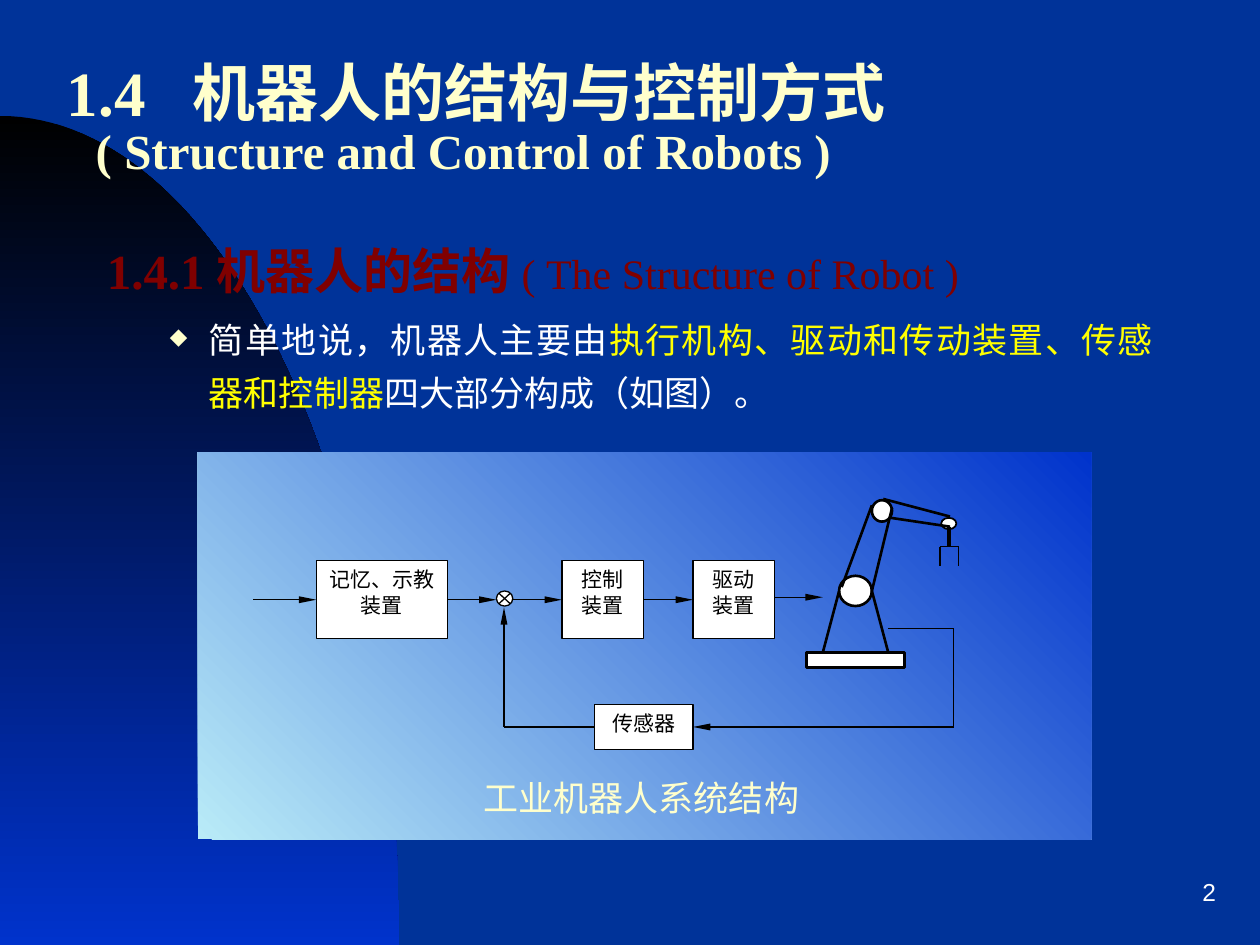
"""Build the slide on the structure and control of robots."""
import math

from lxml import etree
from pptx import Presentation, util as u
from pptx.dml.color import RGBColor
from pptx.enum import shapes, text
from pptx.oxml.ns import qn

NAVY = RGBColor(0x00, 0x33, 0x99)
BLUE = RGBColor(0x00, 0x33, 0xCC)
SKY = RGBColor(0xB9, 0xEB, 0xF7)
BLACK = RGBColor(0, 0, 0)
WHITE = RGBColor(0xFF, 0xFF, 0xFF)
CREAM = RGBColor(0xFF, 0xFF, 0xCC)
YELLOW = RGBColor(0xFF, 0xFF, 0x00)
MAROON = RGBColor(0x80, 0x00, 0x00)

LEFT, CENTER, RIGHT, JUSTIFY = (text.PP_ALIGN.LEFT, text.PP_ALIGN.CENTER,
                                text.PP_ALIGN.RIGHT, text.PP_ALIGN.JUSTIFY)
RECT, OVAL = shapes.MSO_SHAPE.RECTANGLE, shapes.MSO_SHAPE.OVAL
JUNCTION = shapes.MSO_SHAPE.FLOWCHART_SUMMING_JUNCTION

TITLE = [("1.4\t机器人的结构与控制方式", 36, 0),
         ("( Structure and Control of Robots )", 28, 5)]
HEADING = ("1.4.1 机器人的结构 ", "( The Structure of Robot )")
BULLET = [("简单地说，机器人主要由", WHITE),
          ("执行机构、驱动和传动装置、传感器和控制器", YELLOW),
          ("四大部分构成（如图）。", WHITE)]
CAPTION = "工业机器人系统结构"
FLOW_Y, RETURN_Y = 4.76, 5.77

BOXES = {
    "memory": (["记忆、示教", "装置"], 2.51, 4.45, 1.04, 0.62),
    "control": (["控制", "装置"], 4.46, 4.45, 0.65, 0.62),
    "drive": (["驱动", "装置"], 5.5, 4.45, 0.65, 0.62),
    "sensor": (["传感器"], 4.72, 5.59, 0.78, 0.36),
}
ROBOT_PARTS = [
    (RECT, 6.4, 5.18, 0.78, 0.12, 1.5),
    (OVAL, 6.66, 4.57, 0.26, 0.24, 1.5),
    (OVAL, 6.92, 3.97, 0.16, 0.17, 1.5),
    (OVAL, 7.47, 4.11, 0.12, 0.09, 1),
    (JUNCTION, 3.94, 4.69, 0.13, 0.12, 0.75),
]
ROBOT_LINES = [
    (6.66, 4.69, 6.53, 5.18, 1.5), (6.92, 4.69, 7.05, 5.18, 1.5),
    (6.68, 4.66, 6.92, 4.01, 1.5), (6.92, 4.69, 7.08, 4.03, 1.5),
    (7.01, 3.96, 7.54, 4.1, 1.5), (7.07, 4.11, 7.54, 4.18, 1.5),
    (7.53, 4.18, 7.53, 4.34, 2.25), (7.46, 4.34, 7.61, 4.34, 0.75),
    (7.46, 4.34, 7.46, 4.49, 0.75), (7.61, 4.34, 7.61, 4.49, 0.75),
]
SIGNALS = [
    (2.01, FLOW_Y, 2.51, FLOW_Y, True, None, ("memory", 1)),
    (3.55, FLOW_Y, 3.94, FLOW_Y, True, ("memory", 3), None),
    (4.07, FLOW_Y, 4.46, FLOW_Y, True, None, ("control", 1)),
    (5.11, FLOW_Y, 5.5, FLOW_Y, True, ("control", 3), ("drive", 1)),
    (6.15, 4.74, 6.53, 4.74, True, None, None),
    (7.05, 4.99, 7.57, 4.99, False, None, None),
    (7.57, 4.99, 7.57, RETURN_Y, False, None, None),
    (7.57, RETURN_Y, 5.5, RETURN_Y, True, None, ("sensor", 3)),
    (4.72, RETURN_Y, 4, RETURN_Y, False, ("sensor", 1), None),
    (4, RETURN_Y, 4, 4.82, True, None, None),
]


def inches(*values):
    return [u.Inches(v) for v in values]


def write(p, words, size, color, bold=False, font="Times New Roman", align=LEFT):
    p.alignment = align
    r = p.add_run()
    r.text = words
    r.font.size, r.font.name, r.font.bold = u.Pt(size), font, bold
    r.font.color.rgb = color


def indent(p, margin, first=0.0):
    pPr = p._p.get_or_add_pPr()
    pPr.set("marL", str(u.Inches(margin)))
    pPr.set("indent", str(u.Inches(first)))
    return pPr


def add_text(s, *box, wrap=True):
    tf = s.shapes.add_textbox(*inches(*box)).text_frame
    tf.word_wrap = wrap
    return tf


def shade(sp, start, end, angle):
    sp.shadow.inherit = False
    sp.line.fill.background()
    sp.fill.gradient()
    sp.fill.gradient_angle = angle
    for stop, color, place in zip(sp.fill.gradient_stops, (start, end), (0, 1)):
        stop.color.rgb, stop.position = color, place


def add_part(s, kind, x, y, w, h, weight):
    sp = s.shapes.add_shape(kind, *inches(x, y, w, h))
    sp.shadow.inherit = False
    sp.fill.solid()
    sp.fill.fore_color.rgb = WHITE
    sp.line.color.rgb, sp.line.width = BLACK, u.Pt(weight)
    return sp


def add_line(s, x1, y1, x2, y2, weight=0.75, arrow=False):
    line = s.shapes.add_connector(shapes.MSO_CONNECTOR.STRAIGHT, *inches(x1, y1, x2, y2))
    line.line.color.rgb, line.line.width = BLACK, u.Pt(weight)
    if arrow:
        etree.SubElement(line.line._get_or_add_ln(), qn("a:tailEnd"),
                         type="triangle", w="sm", len="lg")
    etree.SubElement(line._element.spPr, qn("a:effectLst"))
    return line


def add_backdrop(s):
    s.background.fill.solid()
    s.background.fill.fore_color.rgb = NAVY
    angles = [math.pi / 2 * i / 60 for i in range(61)]
    arc = [inches(3.17 * math.sin(a), 7.5 - 6.58 * math.cos(a)) for a in angles]
    builder = s.shapes.build_freeform(*arc[0])
    builder.add_line_segments(arc[1:] + [inches(0, 7.5)], close=True)
    sp = builder.convert_to_shape()
    shade(sp, BLACK, BLUE, 270)
    s.shapes.title._element.addprevious(sp._element)


def add_title(s):
    title = s.shapes.title
    title.left, title.top, title.width, title.height = inches(0.43, 0.35, 9.25, 1.3)
    tf = title.text_frame
    tf.vertical_anchor, tf.auto_size = text.MSO_ANCHOR.MIDDLE, text.MSO_AUTO_SIZE.NONE
    first, second = tf.paragraphs[0], tf.add_paragraph()
    tabs = etree.SubElement(indent(first, 0), qn("a:tabLst"))
    etree.SubElement(tabs, qn("a:tab"), pos=str(u.Inches(1)), algn="l")
    indent(second, 0.23)
    for p, (words, size, gap) in zip((first, second), TITLE):
        write(p, words, size, CREAM, bold=True)
        p.line_spacing, p.space_before = 0.7, u.Pt(gap)


def add_body(s):
    tf = add_text(s, 0.75, 1.86, 8.5, 1.6)
    p = tf.paragraphs[0]
    indent(p, 0.38, -0.38)
    write(p, HEADING[0], 28, MAROON, bold=True, align=JUSTIFY)
    write(p, HEADING[1], 24, MAROON, align=JUSTIFY)
    p = tf.add_paragraph()
    pPr = indent(p, 0.81, -0.31)
    color = etree.SubElement(pPr, qn("a:buClr"))
    etree.SubElement(color, qn("a:srgbClr"), val=str(CREAM))
    etree.SubElement(pPr, qn("a:buSzPct"), val="65000")
    etree.SubElement(pPr, qn("a:buChar"), char="◆")
    p.line_spacing, p.space_before = 1.25, u.Pt(5)
    for words, tint in BULLET:
        write(p, words, 20, tint, align=JUSTIFY)


def add_diagram(s):
    shade(s.shapes.add_shape(RECT, *inches(1.57, 3.59, 7.09, 3.07)), SKY, BLUE, 45)
    boxes = {}
    for name, (lines, *place) in BOXES.items():
        sp = boxes[name] = add_part(s, RECT, *place, 0.75)
        tf = sp.text_frame
        tf.vertical_anchor = text.MSO_ANCHOR.TOP
        for i, words in enumerate(lines):
            p = tf.add_paragraph() if i else tf.paragraphs[0]
            write(p, words, 12, BLACK, align=CENTER)
    for part in ROBOT_PARTS:
        add_part(s, *part)
    for line in ROBOT_LINES:
        add_line(s, *line)
    for *ends, arrow, source, target in SIGNALS:
        line = add_line(s, *ends, arrow=arrow)
        if source:
            line.begin_connect(boxes[source[0]], source[1])
        if target:
            line.end_connect(boxes[target[0]], target[1])
    write(add_text(s, 3.74, 6.11, 3.03, 0.55).paragraphs[0], CAPTION, 20, CREAM)


def main():
    prs = Presentation()
    prs.slide_width, prs.slide_height = inches(10, 7.5)
    s = prs.slides.add_slide(prs.slide_layouts[5])
    add_backdrop(s)
    add_title(s)
    add_body(s)
    add_diagram(s)
    tf = add_text(s, 7.67, 6.83, 2.08, 0.5, wrap=False)
    tf.vertical_anchor = text.MSO_ANCHOR.MIDDLE
    write(tf.paragraphs[0], "2", 14, WHITE, font="Arial", align=RIGHT)
    prs.save("out.pptx")


if __name__ == "__main__":
    main()
